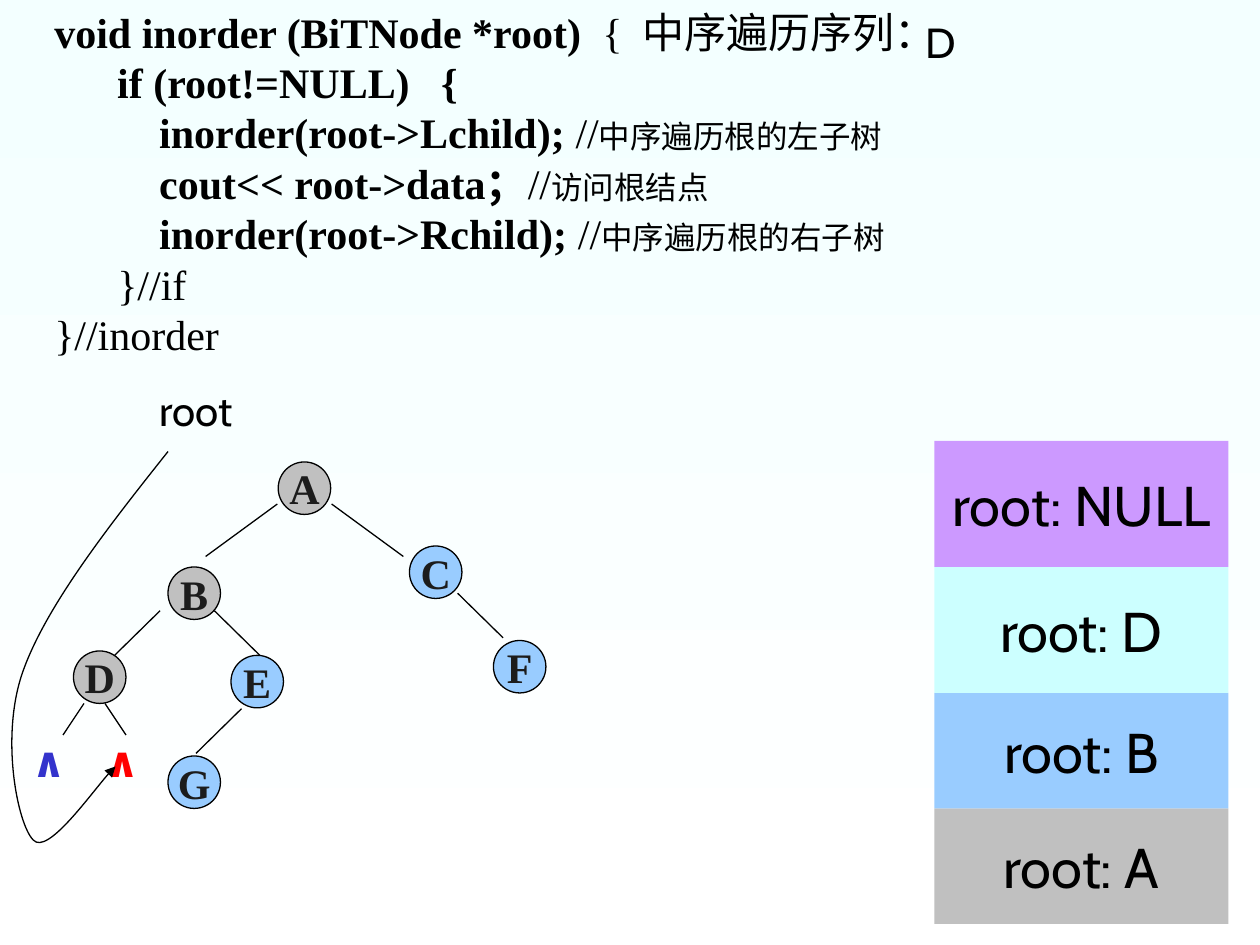
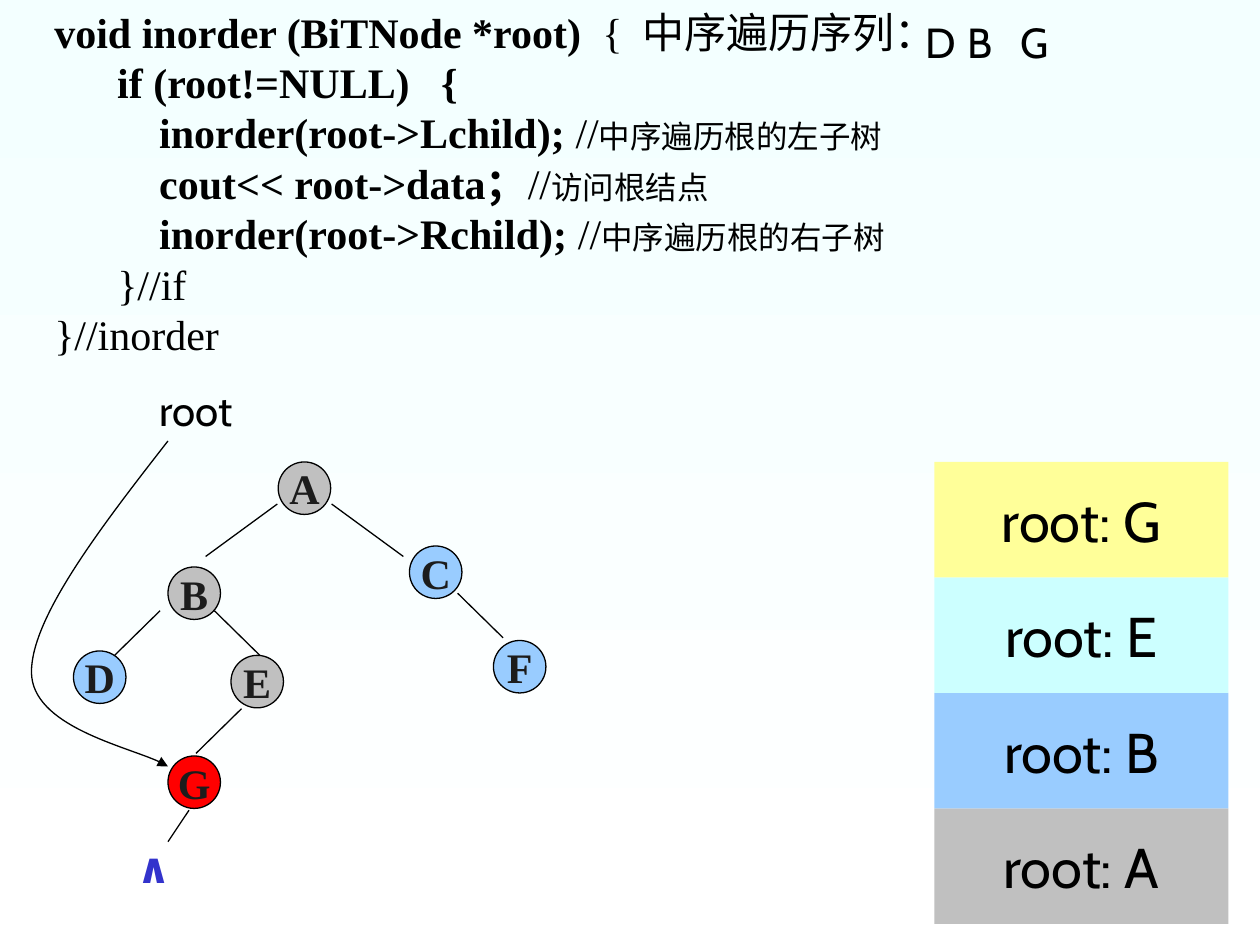
from lxml.etree import SubElement
from pptx import Presentation
from pptx.dml.color import RGBColor
from pptx.enum.shapes import MSO_CONNECTOR, MSO_SHAPE
from pptx.enum.text import MSO_ANCHOR, PP_ALIGN
from pptx.oxml.ns import qn
from pptx.util import Pt

BLACK = RGBColor(0x00, 0x00, 0x00)
INK = RGBColor(0x1C, 0x1C, 0x1C)
GRAY = RGBColor(0xC0, 0xC0, 0xC0)
BLUE = RGBColor(0x99, 0xCC, 0xFF)
CYAN = RGBColor(0xCC, 0xFF, 0xFF)
VIOLET = RGBColor(0xCC, 0x99, 0xFF)
YELLOW = RGBColor(0xFF, 0xFF, 0x99)
RED = RGBColor(0xFF, 0x00, 0x00)
NAVY = RGBColor(0x33, 0x33, 0xCC)
PALE = RGBColor(0xF3, 0xFF, 0xFF)
WHITE = RGBColor(0xFF, 0xFF, 0xFF)

SANS = "Cabin"
SERIF = "Times New Roman"

# Code lines as runs of (text, bold, size)
CODE = [
    [("\u00a0   void inorder (BiTNode *root)  ", True, 24), ("{", False, 24)],
    [("          if (root!=NULL)   {", True, 24)],
    [("              inorder(root->Lchild);", True, 24), (" //", False, 24),
     ("中序遍历根的左子树", False, 18)],
    [("              cout<< root->data；", True, 24), ("//", False, 24),
     ("访问根结点", False, 18)],
    [("              inorder(root->Rchild); ", True, 24), ("//", False, 24),
     ("中序遍历根的右子树", False, 18)],
    [("          ", True, 24), ("}//if", False, 24)],
    [("    }//inorder", False, 24)],
]

# Tree: left and top of each node, then its edges
NODES = {"B": (96, 324), "A": (159, 264), "C": (234, 312), "E": (132, 374.5),
         "D": (42, 372), "G": (96, 432), "F": (282, 366)}
EDGES = [(158.5, 288, 117.5, 318), (189.5, 288, 230.5, 318),
         (122.5, 349, 148.5, 374.5), (138, 405, 112, 430.5),
         (91.5, 349, 65.5, 374.5), (261.5, 339, 287.5, 364.5)]


def write(para, text, *, size=24, font=SANS, color=BLACK, bold=False):
    run = para.add_run()
    run.text = text
    run.font.size = Pt(size)
    run.font.name = font
    run.font.color.rgb = color
    run.font.bold = bold


class Deck:
    """Holds the style and the current slide."""

    def __init__(self):
        self.prs = Presentation()
        self.prs.slide_width, self.prs.slide_height = Pt(720), Pt(540)
        self.slide = None

    def page(self):
        self.slide = self.prs.slides.add_slide(self.prs.slide_layouts[6])
        fill = self.slide.background.fill
        fill.gradient()
        fill.gradient_angle = 270
        for stop, color in zip(fill.gradient_stops, (PALE, WHITE)):
            stop.color.rgb = color

    def frame(self, left, top, width, height):
        box = self.slide.shapes.add_textbox(Pt(left), Pt(top), Pt(width), Pt(height))
        box.text_frame.word_wrap = True
        return box.text_frame

    def label(self, text, left, top, width, height=36, flush=False, **style):
        frame = self.frame(left, top, width, height)
        if flush:
            frame.margin_left = frame.margin_right = 0
            frame.margin_top = frame.margin_bottom = 0
        write(frame.paragraphs[0], text, **style)

    def null(self, left, top, color):
        self.label("∧", left, top, 24, 29, flush=True, color=color, bold=True)

    def code(self):
        frame = self.frame(0, 0, 546, 237.6)
        for i, runs in enumerate(CODE):
            para = frame.add_paragraph() if i else frame.paragraphs[0]
            para.line_spacing = Pt(28.8)
            for text, bold, size in runs:
                write(para, text, size=size, font=SERIF, bold=bold)

    def shape(self, kind, text, left, top, width, height, fill, edge=False, **style):
        item = self.slide.shapes.add_shape(kind, Pt(left), Pt(top), Pt(width), Pt(height))
        item.shadow.inherit = False
        item.fill.solid()
        item.fill.fore_color.rgb = fill
        if edge:
            self.stroke(item.line)
        else:
            item.line.fill.background()
        frame = item.text_frame
        frame.word_wrap = False
        frame.vertical_anchor = MSO_ANCHOR.MIDDLE
        para = frame.paragraphs[0]
        para.alignment = PP_ALIGN.CENTER
        write(para, text, **style)

    def stroke(self, line):
        line.color.rgb = BLACK
        line.width = Pt(0.75)

    def line(self, *ends):
        item = self.slide.shapes.add_connector(
            MSO_CONNECTOR.STRAIGHT, *(Pt(end) for end in ends))
        self.stroke(item.line)
        SubElement(item._element.spPr, qn("a:effectLst"))

    def curve(self, start, *points):
        """Draw an arrow of cubic curves, three points to each curve."""
        pen = self.slide.shapes.build_freeform(*start, scale=Pt(1))
        pen.add_line_segments(points, close=False)
        item = pen.convert_to_shape()
        item.shadow.inherit = False
        item.fill.background()
        self.stroke(item.line)
        steps = list(item._element.iter(qn("a:lnTo")))
        for i in range(0, len(steps), 3):
            track = steps[i].getparent()
            bend = SubElement(track, qn("a:cubicBezTo"))
            for step in steps[i:i + 3]:
                bend.append(step[0])
                track.remove(step)
        SubElement(item.line._get_or_add_ln(), qn("a:tailEnd"), type="triangle")

    def tree(self, fills):
        for edge in EDGES:
            self.line(*edge)
        for name, (left, top) in NODES.items():
            self.shape(MSO_SHAPE.OVAL, name, left, top, 30, 30, fills.get(name, BLUE),
                       edge=True, font=SERIF, color=INK, bold=True)

    def stack(self, *calls):
        """Pile the call frames upwards from the bottom."""
        top = 528
        for name, fill, height in calls:
            top -= height
            self.shape(MSO_SHAPE.RECTANGLE, f"root: {name}", 534, top, 168, height,
                       fill, size=32)

    def common(self, fills, width, visits):
        self.page()
        self.code()
        self.tree(fills)
        self.label("root", 84, 216, 72)
        self.label("中序遍历序列：", 360, 0, width)
        for name, left in visits:
            self.label(name, left, 6, 30)


def main():
    deck = Deck()

    # D has been visited; its right child is empty
    deck.common(dict.fromkeys("ABD", GRAY), 215, [("D", 522)])
    deck.stack(("A", GRAY, 66), ("B", BLUE, 66), ("D", CYAN, 72), ("NULL", VIOLET, 72))
    deck.line(48, 402, 36, 420)
    deck.line(60, 402, 72, 420)
    deck.null(18, 420, NAVY)
    deck.null(60, 420, RED)
    deck.curve((96, 258), (61, 302), (26, 347), (13, 384), (0, 421), (10, 471),
               (19, 480), (27, 489), (58, 445), (66, 438))

    # G is visited after its empty left child
    deck.common({**dict.fromkeys("ABE", GRAY), "G": RED}, 187,
                [("D", 522), ("B", 546), ("G", 576)])
    deck.stack(("A", GRAY, 66), ("B", BLUE, 66), ("E", CYAN, 66), ("G", YELLOW, 66))
    deck.line(108, 463, 96, 481)
    deck.null(78, 481, NAVY)
    deck.curve((96, 252), (57, 302), (18, 353), (18, 384), (18, 415), (83, 429),
               (96, 438))

    deck.prs.save("out.pptx")


if __name__ == "__main__":
    main()
